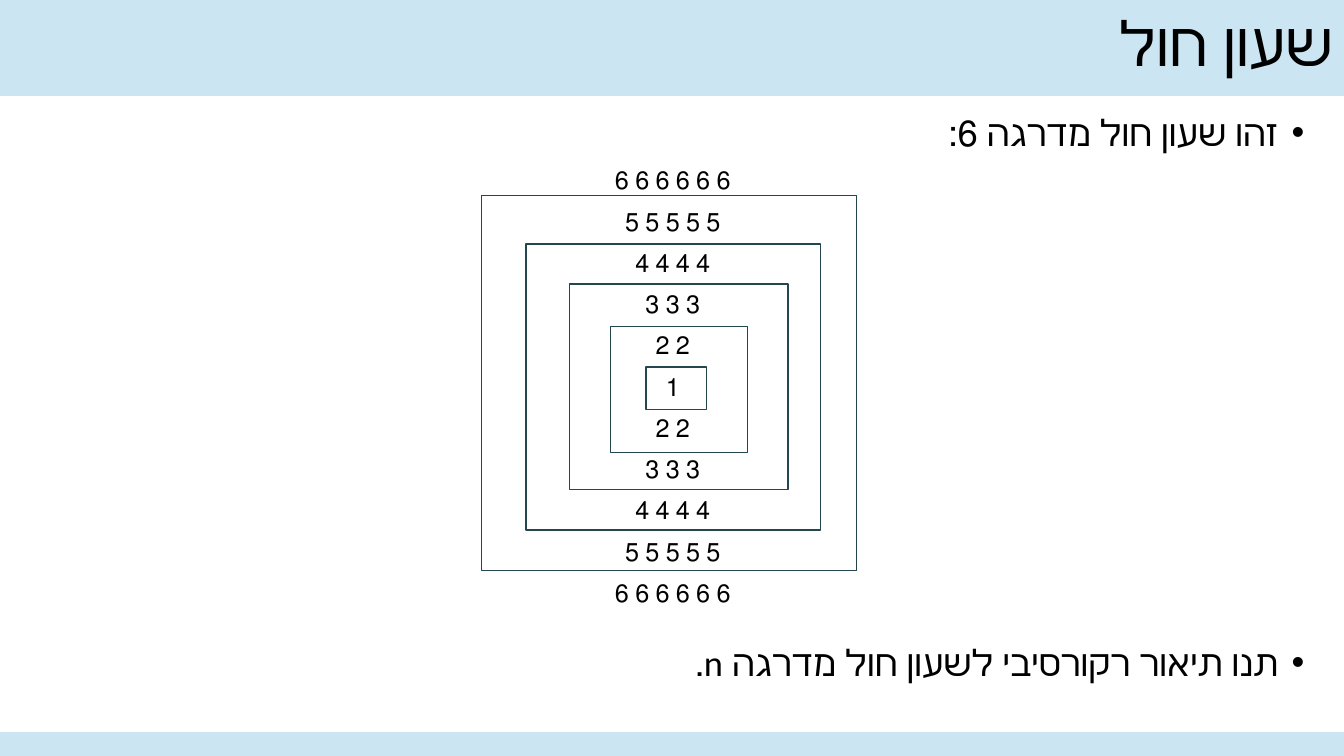
"""Build the hourglass slide: a degree 6 digit hourglass with nested frames."""
from pptx import Presentation
from pptx.dml.color import RGBColor
from pptx.enum.shapes import MSO_SHAPE as SHAPE
from pptx.enum.text import MSO_ANCHOR as ANCHOR, PP_ALIGN as ALIGN
from pptx.oxml.ns import qn
from pptx.util import Cm, Pt
from lxml import etree

COLORS = {"band": "CCE5F2", "frame": "24464F", "text": "000000"}
DEGREE = 6


def write(p, text, size, font="Calibri", align=ALIGN.RIGHT, before=0, indent=0, bullet=False):
    p.alignment = align
    p.line_spacing = 0.9
    p.space_before = Pt(before)
    pPr = p._p.get_or_add_pPr()
    pPr.set("rtl", "1")
    pPr.set("marL", str(Cm(indent)))
    pPr.set("marR", "0")
    pPr.set("indent", str(-Cm(indent)))
    if bullet:
        etree.SubElement(pPr, qn("a:buFont")).set("typeface", "Arial")
        etree.SubElement(pPr, qn("a:buChar")).set("char", "•")
    else:
        etree.SubElement(pPr, qn("a:buNone"))
    r = p.add_run()
    r.text = text
    r.font.size = Pt(size)
    r.font.name = font
    r.font.color.rgb = RGBColor.from_string(COLORS["text"])


def add_rect(box, line, fill=None):
    sp = s.shapes.add_shape(SHAPE.RECTANGLE, *[Cm(v) for v in box])
    sp.shadow.inherit = False
    sp.line.color.rgb = RGBColor.from_string(COLORS[line])
    sp.line.width = Pt(1)
    if fill:
        sp.fill.solid()
        sp.fill.fore_color.rgb = RGBColor.from_string(COLORS[fill])
    else:
        sp.fill.background()


prs = Presentation()
prs.slide_width, prs.slide_height = Cm(33.87), Cm(19.05)
s = prs.slides.add_slide(prs.slide_layouts[6])

for top, height in [(0, 2.41), (18.46, 0.6)]:
    add_rect((0, top, 33.87, height), "band", "band")

body = s.shapes.add_textbox(Cm(0.79), Cm(2.77), Cm(32.33), Cm(15.27))
tf = body.text_frame
tf.word_wrap = True
write(tf.paragraphs[0], "זהו שעון חול מדרגה 6:", 26, before=10, indent=0.64, bullet=True)
for digit in [*range(DEGREE, 0, -1), *range(2, DEGREE + 1)]:
    write(tf.add_paragraph(), " ".join(str(digit) * digit), 18, font="Courier New",
          align=ALIGN.CENTER, before=10, indent=0.64)
write(tf.add_paragraph(), "תנו תיאור רקורסיבי לשעון חול מדרגה n.", 26,
      before=26.5, indent=0.64, bullet=True)

title = s.shapes.add_textbox(Cm(2.87), Cm(-0.03), Cm(30.99), Cm(2.41))
tf = title.text_frame
tf.word_wrap = True
tf.vertical_anchor = ANCHOR.MIDDLE
write(tf.paragraphs[0], "שעון חול", 44)

frames = [
    (12.14, 4.93, 9.45, 9.45),
    (13.26, 6.15, 7.42, 7.21),
    (14.35, 7.16, 5.51, 5.18),
    (15.39, 8.23, 3.45, 3.18),
    (16.28, 9.25, 1.52, 1.07),
]
for frame in frames:
    add_rect(frame, "frame")

prs.save("out.pptx")
